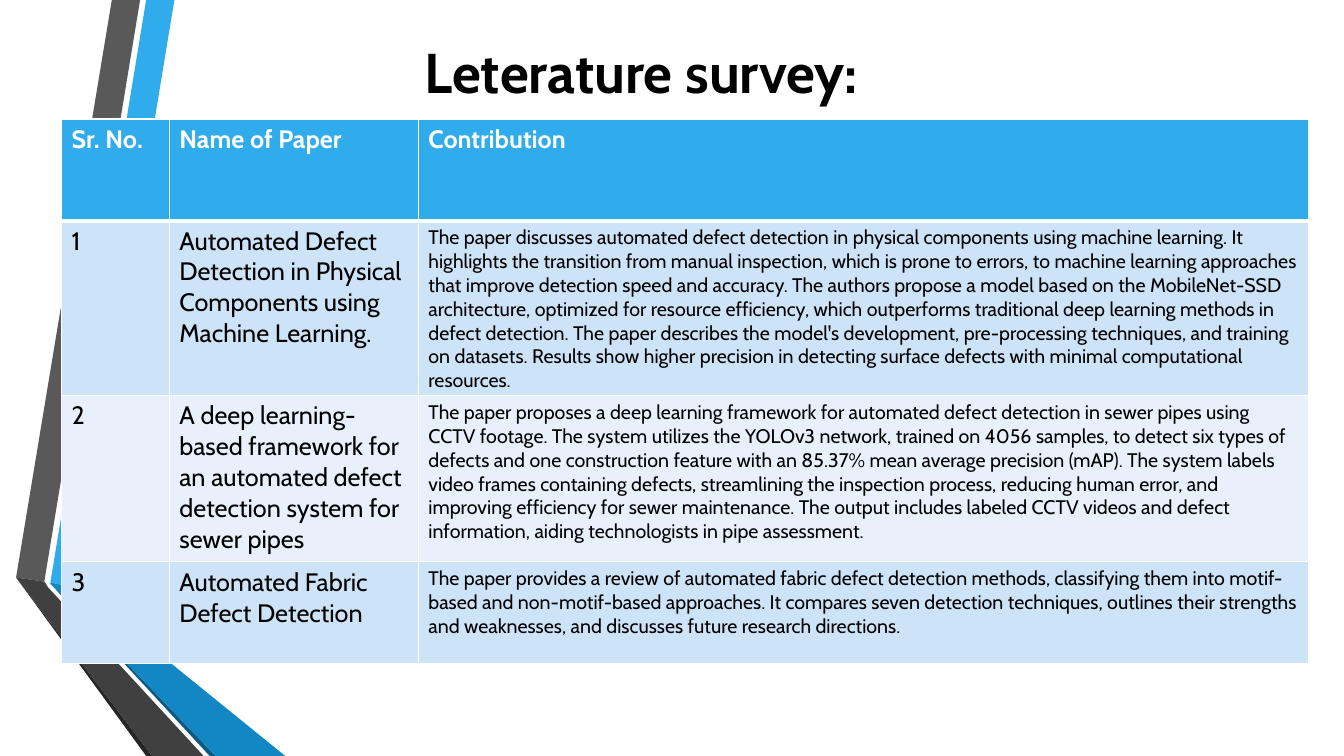
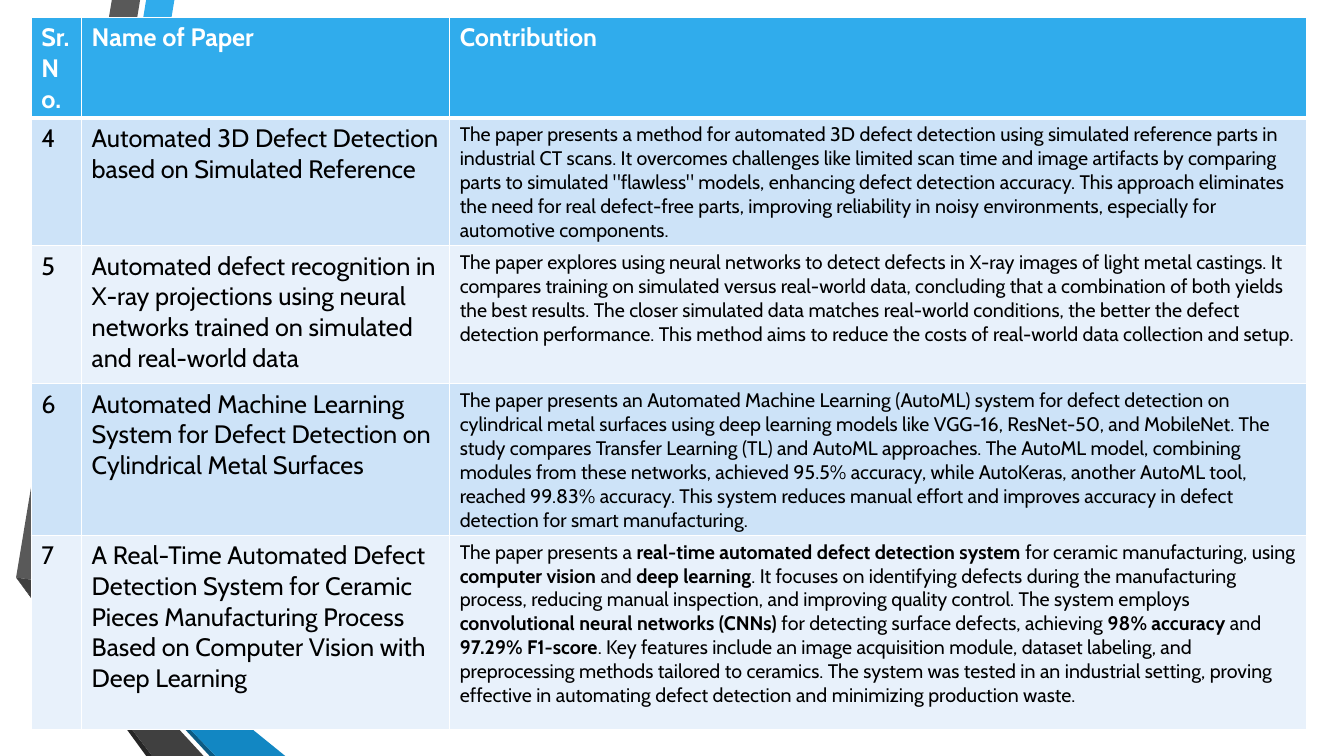
"""Build two literature survey slides with a shared ribbon and table style."""
from dataclasses import dataclass

from lxml.etree import SubElement
from pptx import Presentation
from pptx.dml.color import RGBColor
from pptx.enum.text import MSO_ANCHOR, PP_ALIGN
from pptx.oxml.ns import qn
from pptx.slide import Slide
from pptx.table import _Cell
from pptx.text.text import _Paragraph
from pptx.util import Inches, Pt

FONT = "Cabin"
BLACK = RGBColor(0x00, 0x00, 0x00)
WHITE = RGBColor(0xFF, 0xFF, 0xFF)
BLUE = RGBColor(0x30, 0xAC, 0xEC)
DEEP_BLUE = RGBColor(0x12, 0x87, 0xC3)
SHADE_BLUE = RGBColor(0x0C, 0x5A, 0x82)
GRAY = RGBColor(0x59, 0x59, 0x59)
DARK_GRAY = RGBColor(0x40, 0x40, 0x40)
SHADE_GRAY = RGBColor(0x26, 0x26, 0x26)
ROW_FILLS = (RGBColor(0xCD, 0xE3, 0xF8), RGBColor(0xE8, 0xF1, 0xFB))
HEADINGS = ("Sr. No.", "Name of Paper", "Contribution")
BODY_SIZES = (18, 18, 14)


@dataclass(frozen=True)
class Ribbon:
    color: RGBColor
    points: tuple[tuple[float, float], ...]


@dataclass(frozen=True)
class Paper:
    number: int
    name: str
    contribution: str
    height: float


@dataclass(frozen=True)
class Survey:
    left: float
    top: float
    widths: tuple[float, ...]
    header_height: float
    papers: tuple[Paper, ...]
    title: str = ""


RIBBONS = (
    Ribbon(BLUE, ((0.5, 5.78), (0.77, 5.83), (1.73, 0), (1.45, 0))),
    Ribbon(GRAY, ((1.39, 0), (1.11, 0), (0.16, 5.73), (0.44, 5.77))),
    Ribbon(SHADE_GRAY, ((0.16, 5.73), (1.45, 7.5), (1.51, 7.5))),
    Ribbon(SHADE_BLUE, ((0.5, 5.79), (2.08, 7.5), (2.14, 7.5))),
    Ribbon(DEEP_BLUE, ((0.5, 5.79), (2.14, 7.5), (2.83, 7.5), (0.77, 5.83), (0.5, 5.78))),
    Ribbon(DARK_GRAY, ((2.02, 7.5), (0.48, 5.83), (0.44, 5.77), (0.16, 5.73), (1.51, 7.5))),
)

SURVEYS = (
    Survey(0.61, 1.18, (1.07, 2.47, 8.83), 1.01, (
        Paper(
            1,
            "Automated Defect Detection in Physical Components using Machine Learning.",
            "The paper discusses automated defect detection in physical components using machine "
            "learning. It highlights the transition from manual inspection, which is prone to "
            "errors, to machine learning approaches that improve detection speed and accuracy. "
            "The authors propose a model based on the MobileNet-SSD architecture, optimized for "
            "resource efficiency, which outperforms traditional deep learning methods in defect "
            "detection. The paper describes the model's development, pre-processing techniques, "
            "and training on datasets. Results show higher precision in detecting surface defects "
            "with minimal computational resources.",
            1.54,
        ),
        Paper(
            2,
            "A deep learning-based framework for an automated defect detection system for "
            "sewer pipes",
            "The paper proposes a deep learning framework for automated defect detection in sewer "
            "pipes using CCTV footage. The system utilizes the YOLOv3 network, trained on 4056 "
            "samples, to detect six types of defects and one construction feature with an 85.37% "
            "mean average precision (mAP). The system labels video frames containing defects, "
            "streamlining the inspection process, reducing human error, and improving efficiency "
            "for sewer maintenance. The output includes labeled CCTV videos and defect "
            "information, aiding technologists in pipe assessment.",
            1.65,
        ),
        Paper(
            3,
            "Automated Fabric Defect Detection",
            "The paper provides a review of automated fabric defect detection methods, classifying "
            "them into motif-based and non-motif-based approaches. It compares seven detection "
            "techniques, outlines their strengths and weaknesses, and discusses future research "
            "directions.",
            1.01,
        ),
    ), title="Leterature survey:"),
    Survey(0.31, 0.17, (0.5, 3.65, 8.5), 0.69, (
        Paper(
            4,
            "Automated 3D Defect Detection based on Simulated Reference",
            "The paper presents a method for automated 3D defect detection using simulated "
            "reference parts in industrial CT scans. It overcomes challenges like limited scan "
            "time and image artifacts by comparing parts to simulated \"flawless\" models, "
            "enhancing defect detection accuracy. This approach eliminates the need for real "
            "defect-free parts, improving reliability in noisy environments, especially for "
            "automotive components.",
            1.24,
        ),
        Paper(
            5,
            "Automated defect recognition in X-ray projections using neural networks trained on "
            "simulated and real-world data",
            "The paper explores using neural networks to detect defects in X-ray images of light "
            "metal castings. It compares training on simulated versus real-world data, concluding "
            "that a combination of both yields the best results. The closer simulated data matches "
            "real-world conditions, the better the defect detection performance. This method aims "
            "to reduce the costs of real-world data collection and setup.",
            1.37,
        ),
        Paper(
            6,
            "Automated Machine Learning System for Defect Detection on Cylindrical Metal Surfaces",
            "The paper presents an Automated Machine Learning (AutoML) system for defect detection "
            "on cylindrical metal surfaces using deep learning models like VGG-16, ResNet-50, and "
            "MobileNet. The study compares Transfer Learning (TL) and AutoML approaches. The "
            "AutoML model, combining modules from these networks, achieved 95.5% accuracy, while "
            "AutoKeras, another AutoML tool, reached 99.83% accuracy. This system reduces manual "
            "effort and improves accuracy in defect detection for smart manufacturing.",
            1.47,
        ),
        Paper(
            7,
            "A Real-Time Automated Defect Detection System for Ceramic Pieces Manufacturing "
            "Process Based on Computer Vision with Deep Learning",
            "The paper presents a **real-time automated defect detection system** for ceramic "
            "manufacturing, using **computer vision** and **deep learning**. It focuses on "
            "identifying defects during the manufacturing process, reducing manual inspection, "
            "and improving quality control. The system employs **convolutional neural networks "
            "(CNNs)** for detecting surface defects, achieving **98% accuracy** and **97.29% "
            "F1-score**. Key features include an image acquisition module, dataset labeling, and "
            "preprocessing methods tailored to ceramics. The system was tested in an industrial "
            "setting, proving effective in automating defect detection and minimizing production "
            "waste.",
            1.93,
        ),
    )),
)


def add_runs(paragraph: _Paragraph, text: str, size: float, color: RGBColor,
             bold: bool = False) -> None:
    """Write text run by run, with the parts between double asterisks in bold."""
    for index, part in enumerate(text.split("**")):
        run = paragraph.add_run()
        run.text = part
        run.font.name = FONT
        run.font.size = Pt(size)
        run.font.bold = bold or index % 2 == 1
        run.font.color.rgb = color


def draw_ribbon(slide: Slide, ribbon: Ribbon) -> None:
    """Draw one flat piece of the folded ribbon."""
    start, *rest = [(Inches(x), Inches(y)) for x, y in ribbon.points]
    builder = slide.shapes.build_freeform(*start)
    builder.add_line_segments(rest, close=True)
    piece = builder.convert_to_shape()
    piece.shadow.inherit = False
    piece.fill.solid()
    piece.fill.fore_color.rgb = ribbon.color
    piece.line.fill.background()


def draw_title(slide: Slide, text: str) -> None:
    """Draw the centred slide title."""
    title = slide.shapes.add_textbox(Inches(0.61), Inches(0.31), Inches(11.5), Inches(0.79))
    frame = title.text_frame
    frame.word_wrap = True
    frame.vertical_anchor = MSO_ANCHOR.MIDDLE
    frame.paragraphs[0].alignment = PP_ALIGN.CENTER
    add_runs(frame.paragraphs[0], text, 40, BLACK, bold=True)


def style_cell(cell: _Cell, fill: RGBColor, top: float, bottom: float) -> None:
    """Give a cell white borders of the given widths and a solid fill."""
    properties = cell._tc.get_or_add_tcPr()
    for side, width in (("L", 1), ("R", 1), ("T", top), ("B", bottom)):
        border = SubElement(properties, qn(f"a:ln{side}"), w=str(Pt(width)))
        SubElement(SubElement(border, qn("a:solidFill")), qn("a:srgbClr"), val=str(WHITE))
    cell.fill.solid()
    cell.fill.fore_color.rgb = fill


def draw_survey(slide: Slide, survey: Survey) -> None:
    """Draw the table of papers under its header row."""
    heights = (survey.header_height, *(paper.height for paper in survey.papers))
    table = slide.shapes.add_table(
        len(heights), len(survey.widths), Inches(survey.left), Inches(survey.top),
        Inches(sum(survey.widths)), Inches(sum(heights)),
    ).table
    for column, width in zip(table.columns, survey.widths):
        column.width = Inches(width)
    for row, height in zip(table.rows, heights):
        row.height = Inches(height)
    for cell, heading in zip(table.rows[0].cells, HEADINGS):
        style_cell(cell, BLUE, top=1, bottom=3)
        add_runs(cell.text_frame.paragraphs[0], heading, 18, WHITE, bold=True)
    for index, paper in enumerate(survey.papers):
        texts = (str(paper.number), paper.name, paper.contribution)
        for cell, text, size in zip(table.rows[index + 1].cells, texts, BODY_SIZES):
            style_cell(cell, ROW_FILLS[index % 2], top=1 if index else 3, bottom=1)
            add_runs(cell.text_frame.paragraphs[0], text, size, BLACK)


def main() -> None:
    """Build and save the presentation."""
    presentation = Presentation()
    presentation.slide_width = Inches(13.33)
    presentation.slide_height = Inches(7.5)
    for survey in SURVEYS:
        slide = presentation.slides.add_slide(presentation.slide_layouts[6])
        for ribbon in RIBBONS:
            draw_ribbon(slide, ribbon)
        if survey.title:
            draw_title(slide, survey.title)
        draw_survey(slide, survey)
    presentation.save("out.pptx")


if __name__ == "__main__":
    main()
